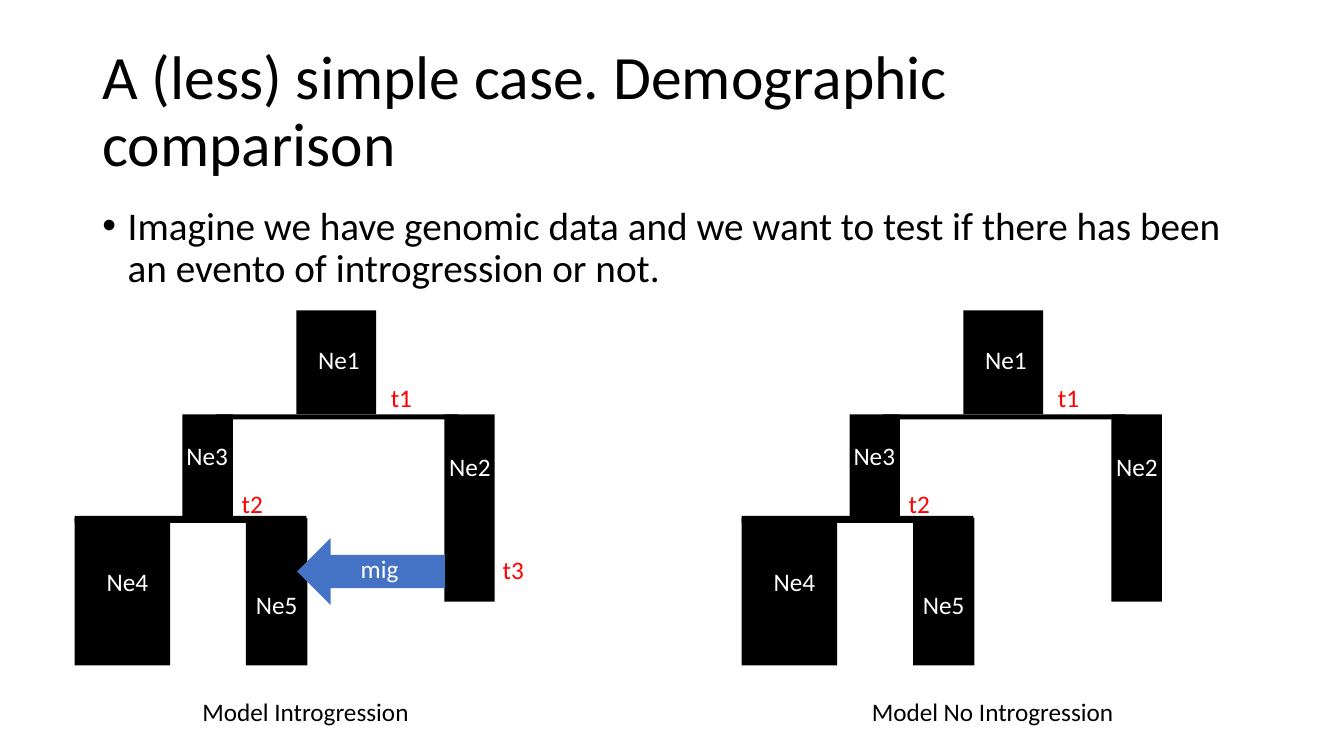
from pptx import Presentation
from pptx.dml.color import RGBColor
from pptx.enum.shapes import MSO_SHAPE
from pptx.enum.text import MSO_ANCHOR, MSO_AUTO_SIZE
from pptx.oxml.ns import qn
from pptx.util import Cm, Pt
from lxml import etree

RECT, ARROW = MSO_SHAPE.RECTANGLE, MSO_SHAPE.RIGHT_ARROW
TOP, MIDDLE = MSO_ANCHOR.TOP, MSO_ANCHOR.MIDDLE
GROW = MSO_AUTO_SIZE.SHAPE_TO_FIT_TEXT
BLACK, WHITE, RED, BLUE = "000000", "FFFFFF", "FF0000", "4472C4"

# Tree parts: left, top, width, height in cm
BLOCKS = [
    (7.47, 7.82, 2.01, 2.62),    # Ne1
    (11.2, 10.44, 1.27, 4.72),   # Ne2
    (4.6, 10.44, 1.27, 2.62),    # Ne3
    (6.2, 13.06, 1.55, 3.71),    # Ne5
    (1.88, 13.06, 2.41, 3.71),   # Ne4
    (5.44, 10.44, 6.1, 0.13),    # upper split
    (1.88, 13.0, 5.84, 0.18),    # lower split
]
# Tree labels: text, left, top, width, colour
LABELS = [
    ("Ne1", 7.77, 8.56, 1.57, WHITE),
    ("Ne2", 11.07, 11.25, 1.57, WHITE),
    ("Ne3", 4.45, 10.97, 1.57, WHITE),
    ("Ne4", 2.44, 14.15, 1.57, WHITE),
    ("Ne5", 6.2, 14.73, 1.57, WHITE),
    ("t1", 9.6, 9.5, 1.04, RED),
    ("t2", 5.84, 12.17, 1.04, RED),
]
SHIFT = 16.81  # from the left tree to the right one


def paint(text):
    return RGBColor.from_string(text)


class Deck:
    font = "Calibri"

    def __init__(self, slide):
        self.slide = slide

    def text(self, words, left, top, width, height=1.02, size=18, color=BLACK,
             wrap=False, anchor=TOP, line=None, before=0, bullet=False):
        box = self.slide.shapes.add_textbox(Cm(left), Cm(top), Cm(width), Cm(height))
        frame = box.text_frame
        frame.word_wrap = wrap
        frame.vertical_anchor = anchor
        if not wrap:
            frame.auto_size = GROW
        para = frame.paragraphs[0]
        para.line_spacing = line
        para.space_before = Pt(before)
        run = para.add_run()
        run.text = words
        run.font.name, run.font.size = self.font, Pt(size)
        run.font.color.rgb = paint(color)
        if bullet:
            props = para._p.get_or_add_pPr()
            props.set("marL", str(Cm(0.64)))
            props.set("indent", str(-Cm(0.64)))
            etree.SubElement(props, qn("a:buFont")).set("typeface", "Arial")
            etree.SubElement(props, qn("a:buChar")).set("char", "•")

    def shape(self, kind, left, top, width, height, fill=BLACK, turn=0, home=None):
        shapes = (home or self.slide).shapes
        item = shapes.add_shape(kind, Cm(left), Cm(top), Cm(width), Cm(height))
        item.fill.solid()
        item.fill.fore_color.rgb = paint(fill)
        item.line.fill.background()
        item.shadow.inherit = False
        item.rotation = turn

    def blocks(self, shift):
        group = self.slide.shapes.add_group_shape()
        for left, top, width, height in BLOCKS:
            self.shape(RECT, left + shift, top, width, height, home=group)

    def labels(self, shift):
        for words, left, top, width, color in LABELS:
            self.text(words, left + shift, top, width, color=color)


def main():
    show = Presentation()
    show.slide_width, show.slide_height = Cm(33.87), Cm(19.05)
    deck = Deck(show.slides.add_slide(show.slide_layouts[6]))

    # Title and body
    deck.text("A (less) simple case. Demographic comparison", 2.33, 1.01, 29.21, 3.68,
              size=44, wrap=True, anchor=MIDDLE, line=0.9)
    deck.text("Imagine we have genomic data and we want to test if there has been "
              "an evento of introgression or not.", 2.33, 5.07, 29.21, 12.09,
              size=28, wrap=True, line=0.9, before=10, bullet=True)

    # Model with introgression
    deck.blocks(0)
    deck.shape(ARROW, 7.49, 13.56, 3.73, 1.68, fill=BLUE, turn=180)
    deck.labels(0)
    deck.text("mig", 8.84, 13.82, 1.47, color=WHITE)
    deck.text("t3", 12.42, 13.84, 1.04, color=RED)
    deck.text("Model Introgression", 4.85, 17.42, 5.77)

    # Model without introgression
    deck.blocks(SHIFT)
    deck.labels(SHIFT)
    deck.text("Model No Introgression", 21.72, 17.42, 6.68)

    show.save("out.pptx")


if __name__ == "__main__":
    main()
